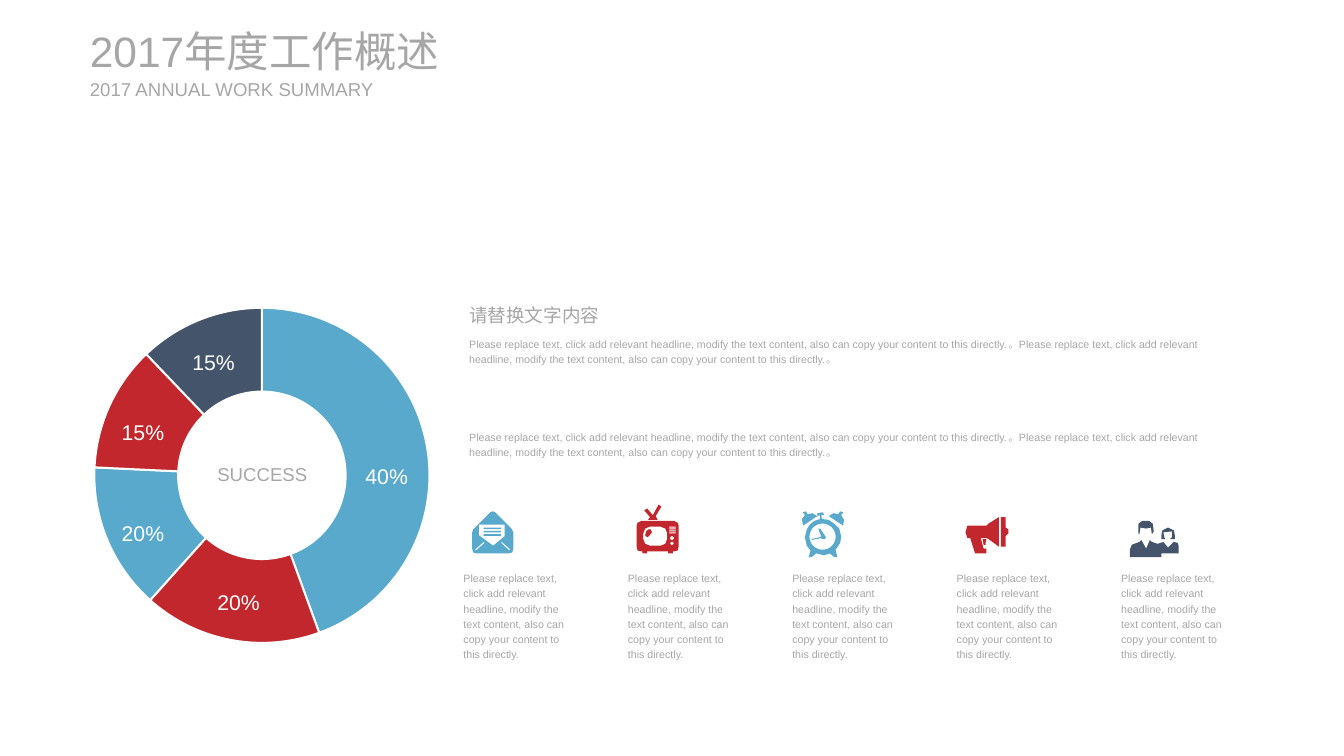
import math

from lxml import etree
from pptx import Presentation
from pptx.chart.data import CategoryChartData
from pptx.dml.color import RGBColor
from pptx.enum.chart import XL_CHART_TYPE
from pptx.enum.text import MSO_ANCHOR, MSO_AUTO_SIZE, PP_ALIGN
from pptx.oxml.ns import qn
from pptx.util import Inches, Pt

DOUGHNUT = XL_CHART_TYPE.DOUGHNUT
LEFT, CENTER = PP_ALIGN.LEFT, PP_ALIGN.CENTER
MIDDLE = MSO_ANCHOR.MIDDLE
NO_FIT, GROW = MSO_AUTO_SIZE.NONE, MSO_AUTO_SIZE.SHAPE_TO_FIT_TEXT

FONT = "Arial"
GRAY, WHITE, BLUE, RED, NAVY = "A6A6A6", "FFFFFF", "58A9CC", "C1272D", "44546A"

MARGIN = 0.94
BODY_LEFT, BODY_WIDTH = 4.81, 8.03
COL_LEFT, COL_PITCH, COL_WIDTH = 4.75, 1.72, 1.32
ICON_INDENT = 0.19

REPLACE = ("Please replace text, click add relevant headline, modify the text "
           "content, also can copy your content to this directly.")


def rect(x, y, w, h):
    return [(x, y), (x + w, y), (x + w, y + h), (x, y + h)]


def circle(cx, cy, radius, steps=36):
    angles = [2 * math.pi * i / steps for i in range(steps)]
    return [(cx + radius * math.cos(a), cy + radius * math.sin(a)) for a in angles]


# Icon outlines in hundredths of an inch; an outline inside another cuts a hole.
ENVELOPE = [
    [(0, 22), (1, 19), (19, 1), (21.5, 0), (24, 1), (41, 18), (43, 22), (43, 39),
     (42, 43), (38, 44), (4, 44), (1, 43), (0, 39)],
    [(7, 14), (7, 25), (22, 36), (34, 26), (34, 14)],
    *[rect(12, y, 18, 1.6) for y in (17, 20.5, 24)],
    [(3, 40), (12, 32), (13, 33), (4, 41)],
    [(40, 40), (31, 32), (30, 33), (39, 41)],
]
TELEVISION = [
    [(0, 22), (1, 19), (5, 17), (39, 17), (43, 19), (44, 22), (44, 44), (43, 48),
     (39, 49), (38, 49), (38, 51), (33, 51), (33, 49), (11, 49), (11, 51), (6, 51),
     (6, 49), (5, 49), (1, 48), (0, 44)],
    [(11, 4), (17, 11), (23, 0), (26, 2), (20, 12), (22, 16), (12, 16), (14, 13),
     (8, 6)],
    [(14, 23), (25, 23), (30, 25), (32, 30), (32, 36), (30, 41), (25, 43), (14, 43),
     (9, 41), (7, 36), (7, 30), (9, 25)],
    [(15, 26), (12, 26), (10, 28), (9, 32), (11, 34), (13, 33), (16, 29)],
    *[rect(34, y, 7, 1) for y in (23, 25, 27, 29)],
    circle(37, 35, 2), circle(37, 40.5, 1.7),
]
CLOCK = [
    [(10, 41), (6, 36), (4, 27), (6, 19), (9, 14), (14, 10), (20, 8), (20, 4),
     (17, 5), (17, 2), (23, 1), (24, 4), (21, 4), (22, 8), (29, 9), (35, 13),
     (40, 18), (42, 26), (41, 33), (37, 39), (36, 40), (38, 48), (35, 48), (30, 44),
     (24, 46), (16, 44), (11, 48), (8, 48)],
    [(39, 3), (34, 2), (29, 5), (44, 15), (45, 9), (42, 4), (44, 1), (41, 0)],
    [(7, 3), (5, 0), (2, 1), (4, 4), (1, 8), (2, 15), (17, 5), (12, 2)],
    circle(22.5, 26.5, 13.7),
    [(21, 26), (20, 27), (11, 29), (11, 30), (21, 28), (22, 29), (25, 29), (26, 27),
     (24, 24), (20, 18), (18, 18)],
]
MEGAPHONE = [
    [(2, 9), (22, 9), (24, 7), (35, 0), (35, 31), (24, 23), (22, 22), (16, 22),
     (19, 33), (22, 33), (22, 38), (10, 38), (5, 22), (2, 22), (0, 16)],
    [(42, 11), (45, 13), (45, 17), (42, 20), (42, 31), (37, 31), (37, 0), (42, 0)],
    [(22, 23), (18, 23), (19, 29), (21, 29), (21, 27)],
]
PEOPLE = [
    [(2, 26), (10, 23), (12, 21), (17, 30), (21, 21), (23, 23), (29, 25), (35, 23),
     (40, 29), (46, 23), (50, 24), (51, 27), (51, 35), (33, 35), (33, 39), (0, 39),
     (0, 31)],
    [(35, 13), (44, 12), (44, 18), (42, 20), (47, 20), (47, 16), (46, 11), (40, 8),
     (34, 11), (33, 16), (33, 20), (37, 20), (36, 18)],
    [(10, 15), (11, 8), (17, 9), (22, 8), (23, 15), (25, 12), (24, 4), (20, 1),
     (13, 1), (9, 4), (9, 14)],
]
ICONS = [(ENVELOPE, 5.35, BLUE), (TELEVISION, 5.28, RED), (CLOCK, 5.35, BLUE),
         (MEGAPHONE, 5.41, RED), (PEOPLE, 5.44, NAVY)]

SHARES = [(44, BLUE), (17, RED), (14, BLUE), (12, RED), (12, NAVY)]
SHARE_LABELS = [("40%", 3.72, 4.74), ("20%", 2.17, 6.06), ("20%", 1.17, 5.34),
                ("15%", 1.17, 4.28), ("15%", 1.91, 3.55)]


def rgb(color):
    return RGBColor.from_string(color)


def write(sp, text, size, color=GRAY, align=LEFT, spacing=1.2):
    tf = sp.text_frame
    tf.text = text
    p = tf.paragraphs[0]
    p.alignment, p.line_spacing = align, spacing
    font = p.runs[0].font
    font.name, font.size, font.color.rgb = FONT, Pt(size), rgb(color)


def add_text(slide, text, box, size, wrap=True, **style):
    sp = slide.shapes.add_textbox(*map(Inches, box))
    sp.text_frame.word_wrap = wrap
    sp.text_frame.auto_size = GROW
    write(sp, text, size, **style)
    return sp


def set_heading_frame(sp):
    """Remove the insets and centre the line vertically."""
    tf = sp.text_frame
    tf.margin_left = tf.margin_top = tf.margin_right = tf.margin_bottom = 0
    tf.vertical_anchor, tf.auto_size, tf.word_wrap = MIDDLE, NO_FIT, True


def add_headings(slide):
    title = slide.shapes.title
    title.left, title.top, title.width, title.height = map(
        Inches, (MARGIN, 0.26, 4.32, 0.54))
    write(title, "2017年度工作概述", 32, spacing=1.0)
    subtitle = add_text(slide, "2017 ANNUAL WORK SUMMARY", (MARGIN, 0.81, 3.07, 0.24),
                        14, spacing=1.0)
    for sp in (title, subtitle):
        set_heading_frame(sp)


def add_icon(slide, outlines, left, top, color):
    points = [[(Inches(x / 100), Inches(y / 100)) for x, y in o] for o in outlines]
    builder = slide.shapes.build_freeform(*points[0][0])
    for i, outline in enumerate(points):
        if i:
            builder.move_to(*outline[0])
        builder.add_line_segments(outline[1:], close=True)
    sp = builder.convert_to_shape(Inches(left), Inches(top))
    sp.shadow.inherit = False
    sp.fill.solid()
    sp.fill.fore_color.rgb = rgb(color)
    sp.line.fill.background()


def place_plot(chart, **shares):
    """Fix the inner plot area as shares of the chart frame."""
    area = chart.plots[0]._element.getparent()
    for old in area.findall(qn("c:layout")):
        area.remove(old)
    layout = etree.Element(qn("c:layout"))
    manual = etree.SubElement(layout, qn("c:manualLayout"))
    settings = {"layoutTarget": "inner", "xMode": "edge", "yMode": "edge", **shares}
    for name, value in settings.items():
        etree.SubElement(manual, qn("c:" + name)).set("val", str(value))
    area.insert(0, layout)


def add_doughnut(slide):
    data = CategoryChartData()
    data.categories = [str(i + 1) for i in range(len(SHARES))]
    data.add_series("Series 1", [value for value, _ in SHARES])
    box = map(Inches, (0.53, 3.07, 4.42, 3.77))
    chart = slide.shapes.add_chart(DOUGHNUT, *box, data).chart
    chart.has_legend = chart.has_title = False
    chart.font.name, chart.font.size = FONT, Pt(10)
    chart.font.color.rgb = rgb("000000")
    plot = chart.plots[0]
    plot.vary_by_categories = True
    plot._element.find(qn("c:holeSize")).set("val", "56")
    place_plot(chart, x=0.1, y=0.04, w=0.8, h=0.93)
    for i, (_, color) in enumerate(SHARES):
        fmt = plot.series[0].points[i].format
        fmt.fill.solid()
        fmt.fill.fore_color.rgb = rgb(color)
        fmt.line.color.rgb = rgb(WHITE)
        fmt.line.width = Pt(1.5)
    add_text(slide, "SUCCESS", (2.17, 4.75, 1.15, 0.36), 14, wrap=False, align=CENTER)
    for text, left, top in SHARE_LABELS:
        add_text(slide, text, (left, top, 0.65, 0.39), 16, wrap=False,
                 color=WHITE, align=CENTER)


def main():
    prs = Presentation()
    prs.slide_width, prs.slide_height = Inches(14.06), Inches(7.91)
    slide = prs.slides.add_slide(prs.slide_layouts[5])
    add_headings(slide)
    add_doughnut(slide)
    add_text(slide, "请替换文字内容", (BODY_LEFT, 3.08, 1.63, 0.36), 14, wrap=False)
    for top in (3.46, 4.43):
        add_text(slide, (REPLACE + "。") * 2, (BODY_LEFT, top, BODY_WIDTH, 0.42), 8)
    for i, (outlines, top, color) in enumerate(ICONS):
        left = COL_LEFT + i * COL_PITCH
        add_icon(slide, outlines, left + ICON_INDENT, top, color)
        add_text(slide, REPLACE, (left, 5.91, COL_WIDTH, 1.07), 8)
    prs.save("out.pptx")


if __name__ == "__main__":
    main()
